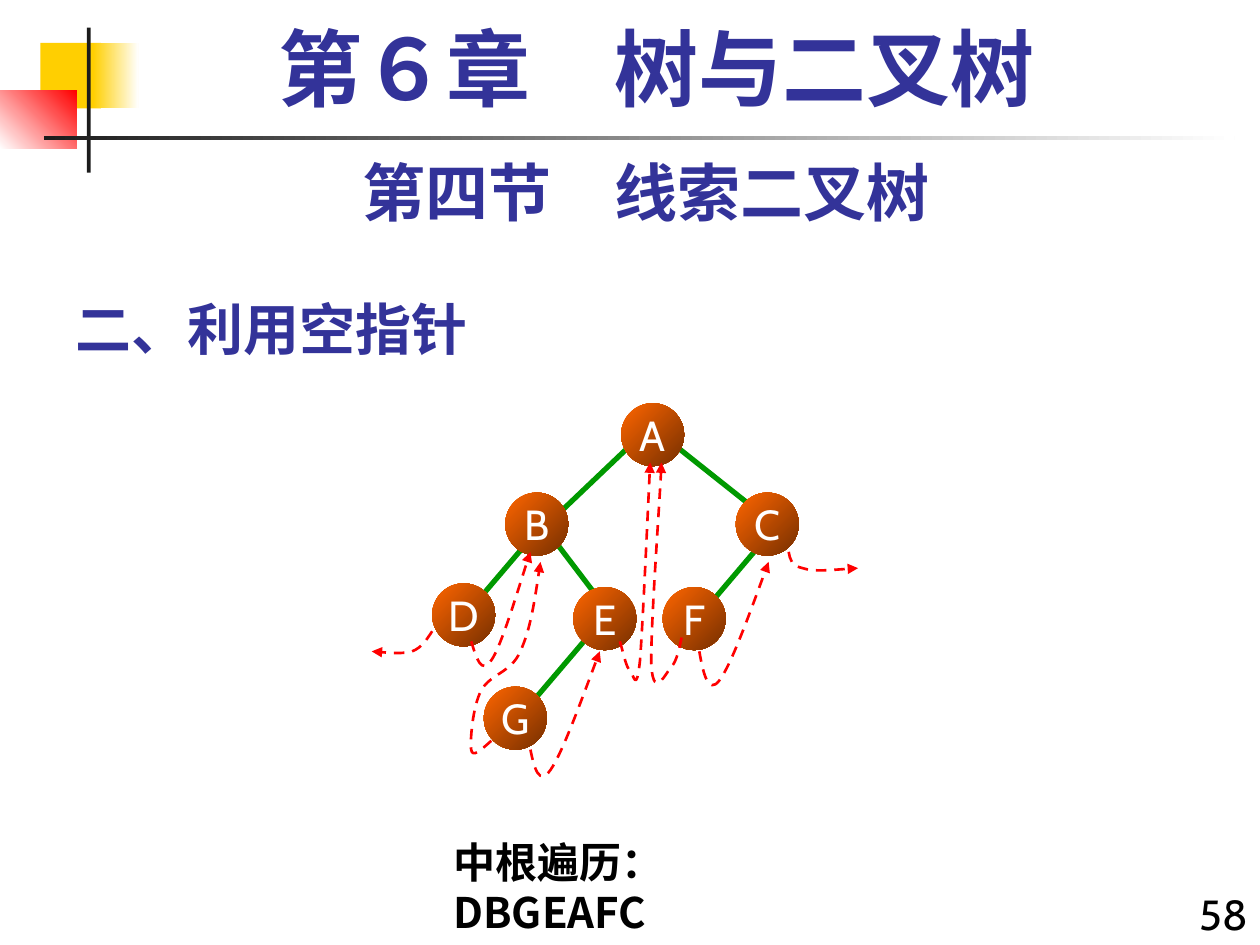
from dataclasses import dataclass

from pptx import Presentation
from pptx.dml.color import RGBColor
from pptx.enum.dml import MSO_LINE
from pptx.enum.shapes import MSO_CONNECTOR, MSO_SHAPE
from pptx.enum.text import MSO_ANCHOR, MSO_AUTO_SIZE, PP_ALIGN
from pptx.oxml.ns import qn
from pptx.util import Inches, Pt
from lxml.etree import SubElement


@dataclass(frozen=True)
class Theme:
    heading: str = "333399"
    black: str = "000000"
    white: str = "FFFFFF"
    rule: str = "1C1C1C"
    yellow: str = "FFCF01"
    red: str = "FF0000"
    edge: str = "009900"
    node_light: str = "FF6600"
    node_dark: str = "762F00"
    chapter_size: int = 48
    section_size: int = 36
    topic_size: int = 32
    body_size: int = 24
    edge_width: float = 3
    thread_width: float = 1.5
    sans: str = "Cabin"
    serif: str = "Times New Roman"
    chinese: str = "Noto Sans CJK SC"


THEME = Theme()
NODE_SIZE = 0.5

# Lengths in inches from the top left corner of the tree
NODES = {
    "A": (1.98, 0), "B": (1.06, 0.71), "C": (2.89, 0.71), "D": (0.48, 1.43),
    "E": (1.6, 1.46), "F": (2.31, 1.46), "G": (0.89, 2.25),
}
EDGES = [
    ((2.35, 0.29), (2.98, 0.79)),  # A to C
    ((2.1, 0.29), (1.48, 0.88)),  # A to B
    ((1.35, 0.97), (0.89, 1.51)),  # B to D
    ((1.39, 1.01), (1.77, 1.51)),  # B to E
    ((3.18, 1.01), (2.73, 1.54)),  # C to F
    ((1.77, 1.79), (1.31, 2.33)),  # E to G
]
# Each thread: a start, then two control points and an end for each cubic curve
THREADS = [
    # D to its empty predecessor
    [(0.48, 1.81), (0.44, 1.87), (0.4, 1.94), (0.32, 1.97),
     (0.24, 1.99), (0.12, 1.98), (0, 1.97)],
    # D to B
    [(0.79, 1.89), (0.83, 2.02), (0.87, 2.16), (0.95, 2.04),
     (1.03, 1.93), (1.21, 1.32), (1.26, 1.18)],
    # G to B
    [(0.95, 2.68), (0.87, 2.75), (0.8, 2.82), (0.79, 2.75),
     (0.78, 2.69), (0.8, 2.41), (0.87, 2.28),
     (0.94, 2.15), (1.11, 2.14), (1.18, 1.97),
     (1.26, 1.8), (1.3, 1.53), (1.34, 1.26)],
    # G to E
    [(1.26, 2.75), (1.29, 2.9), (1.33, 3.04), (1.42, 2.91),
     (1.51, 2.78), (1.66, 2.37), (1.81, 1.97)],
    # E to A
    [(1.97, 1.89), (2, 1.99), (2.02, 2.1), (2.05, 2.12),
     (2.08, 2.15), (2.1, 2.32), (2.13, 2.04),
     (2.15, 1.77), (2.18, 1.12), (2.21, 0.47)],
    # F to A
    [(2.46, 1.86), (2.44, 1.95), (2.42, 2.05), (2.38, 2.09),
     (2.34, 2.13), (2.24, 2.36), (2.22, 2.09),
     (2.21, 1.82), (2.29, 0.74), (2.3, 0.47)],
    # F to C
    [(2.6, 1.97), (2.63, 2.14), (2.67, 2.32), (2.76, 2.2),
     (2.85, 2.08), (3, 1.67), (3.15, 1.26)],
    # C to its empty successor
    [(3.31, 1.18), (3.32, 1.24), (3.33, 1.29), (3.42, 1.31),
     (3.51, 1.34), (3.69, 1.32), (3.86, 1.31)],
]


def color(value):
    return RGBColor.from_string(value)


def write_text(shape, text, size, font, ink, bold=False, align=PP_ALIGN.LEFT):
    shape.text_frame.text = text
    paragraph = shape.text_frame.paragraphs[0]
    paragraph.alignment = align
    run = paragraph.runs[0]
    run.font.size = Pt(size)
    run.font.name = font
    run.font.bold = bold
    run.font.color.rgb = color(ink)
    east_asian = SubElement(run.font._element, qn("a:ea"))
    east_asian.set("typeface", THEME.chinese)
    return paragraph


def add_text(slide, box, *text_style, grow=True, **options):
    shape = slide.shapes.add_textbox(*map(Inches, box))
    shape.text_frame.word_wrap = True
    if grow:
        shape.text_frame.auto_size = MSO_AUTO_SIZE.SHAPE_TO_FIT_TEXT
    return write_text(shape, *text_style, **options)


def add_filled(shapes, kind, box, fills, angle=0):
    """Add a shape without outline; two fills make a gradient."""
    shape = shapes.add_shape(kind, *map(Inches, box))
    shape.shadow.inherit = False
    shape.line.fill.background()
    if len(fills) == 1:
        shape.fill.solid()
        shape.fill.fore_color.rgb = color(fills[0])
    else:
        shape.fill.gradient()
        shape.fill.gradient_angle = angle
        for stop, position, value in zip(shape.fill.gradient_stops, (0, 1), fills):
            stop.position = position
            stop.color.rgb = color(value)
    return shape


def add_ornament(slide, left, top):
    blocks = [
        ((0.32, 0.12, 0.48, 0.52), [THEME.yellow], 0),
        ((0.74, 0.12, 0.36, 0.52), [THEME.yellow, THEME.white], 0),
        ((0, 0.5, 0.61, 0.46), [THEME.white, THEME.red], 45),
        ((0.69, 0, 0.03, 1.15), [THEME.rule], 0),
        ((0.35, 0.86, 9.45, 0.03), [THEME.rule, THEME.white], 0),
    ]
    for (x, y, width, height), fills, angle in blocks:
        box = (left + x, top + y, width, height)
        add_filled(slide.shapes, MSO_SHAPE.RECTANGLE, box, fills, angle)


def add_headings(slide, left, top):
    title = slide.shapes.title
    title.left, title.top = Inches(left), Inches(top + 2)
    title.width, title.height = Inches(6.25), Inches(0.75)
    title.text_frame.vertical_anchor = MSO_ANCHOR.BOTTOM
    write_text(title, "二、利用空指针", THEME.topic_size, THEME.chinese, THEME.heading, bold=True)
    add_text(slide, (left, top + 1, 9.25, 0.7), "第四节　线索二叉树", THEME.section_size,
             THEME.sans, THEME.heading, bold=True, align=PP_ALIGN.CENTER)
    chapter = add_text(slide, (left + 0.17, top, 9.08, 0.83), "第６章　树与二叉树",
                       THEME.chapter_size, THEME.serif, THEME.heading, bold=True,
                       align=PP_ALIGN.CENTER, grow=False)
    chapter.line_spacing = 0.9


def bend_segments(freeform):
    """Turn each three line segments of the outline into one cubic curve."""
    outline = next(freeform._element.iter(qn("a:path")))
    segments = outline.findall(qn("a:lnTo"))
    for first in range(0, len(segments), 3):
        curve = SubElement(outline, qn("a:cubicBezTo"))
        for segment in segments[first:first + 3]:
            curve.append(segment[0])
            outline.remove(segment)


def add_thread(shapes, points):
    """Draw a dashed arrow along a chain of cubic curves."""
    start, *rest = [tuple(map(Inches, point)) for point in points]
    builder = shapes.build_freeform(*start)
    builder.add_line_segments(rest, close=False)
    thread = builder.convert_to_shape()
    bend_segments(thread)
    thread.shadow.inherit = False
    thread.fill.background()
    thread.line.color.rgb = color(THEME.red)
    thread.line.width = Pt(THEME.thread_width)
    thread.line.dash_style = MSO_LINE.DASH
    SubElement(thread.line._get_or_add_ln(), qn("a:tailEnd")).set("type", "triangle")


def add_tree(slide, left, top):
    shapes = slide.shapes.add_group_shape().shapes
    for (x1, y1), (x2, y2) in EDGES:
        ends = (left + x1, top + y1, left + x2, top + y2)
        edge = shapes.add_connector(MSO_CONNECTOR.STRAIGHT, *map(Inches, ends))
        edge.line.color.rgb = color(THEME.edge)
        edge.line.width = Pt(THEME.edge_width)
        SubElement(edge._element.spPr, qn("a:effectLst"))
    for label, (x, y) in NODES.items():
        node = add_filled(shapes, MSO_SHAPE.OVAL, (left + x, top + y, NODE_SIZE, NODE_SIZE),
                          [THEME.node_light, THEME.node_dark], angle=315)
        frame = node.text_frame
        frame.margin_left = frame.margin_right = 0
        frame.word_wrap = False
        frame.vertical_anchor = MSO_ANCHOR.MIDDLE
        write_text(node, label, THEME.body_size, THEME.sans, THEME.white, align=PP_ALIGN.CENTER)
    for points in THREADS:
        add_thread(shapes, [(left + x, top + y) for x, y in points])


def main():
    presentation = Presentation()
    presentation.slide_width, presentation.slide_height = Inches(10), Inches(7.5)
    slide = presentation.slides.add_slide(presentation.slide_layouts[5])
    add_ornament(slide, 0, 0.22)
    add_headings(slide, 0.5, 0.17)
    add_text(slide, (9.33, 7, 0.67, 0.5), "58", THEME.body_size, THEME.sans,
             THEME.black, align=PP_ALIGN.RIGHT)
    add_text(slide, (3.5, 6.59, 3.06, 0.5), "中根遍历：DBGEAFC", THEME.body_size,
             THEME.chinese, THEME.black, bold=True)
    add_tree(slide, 2.95, 3.2)
    presentation.save("out.pptx")


if __name__ == "__main__":
    main()
